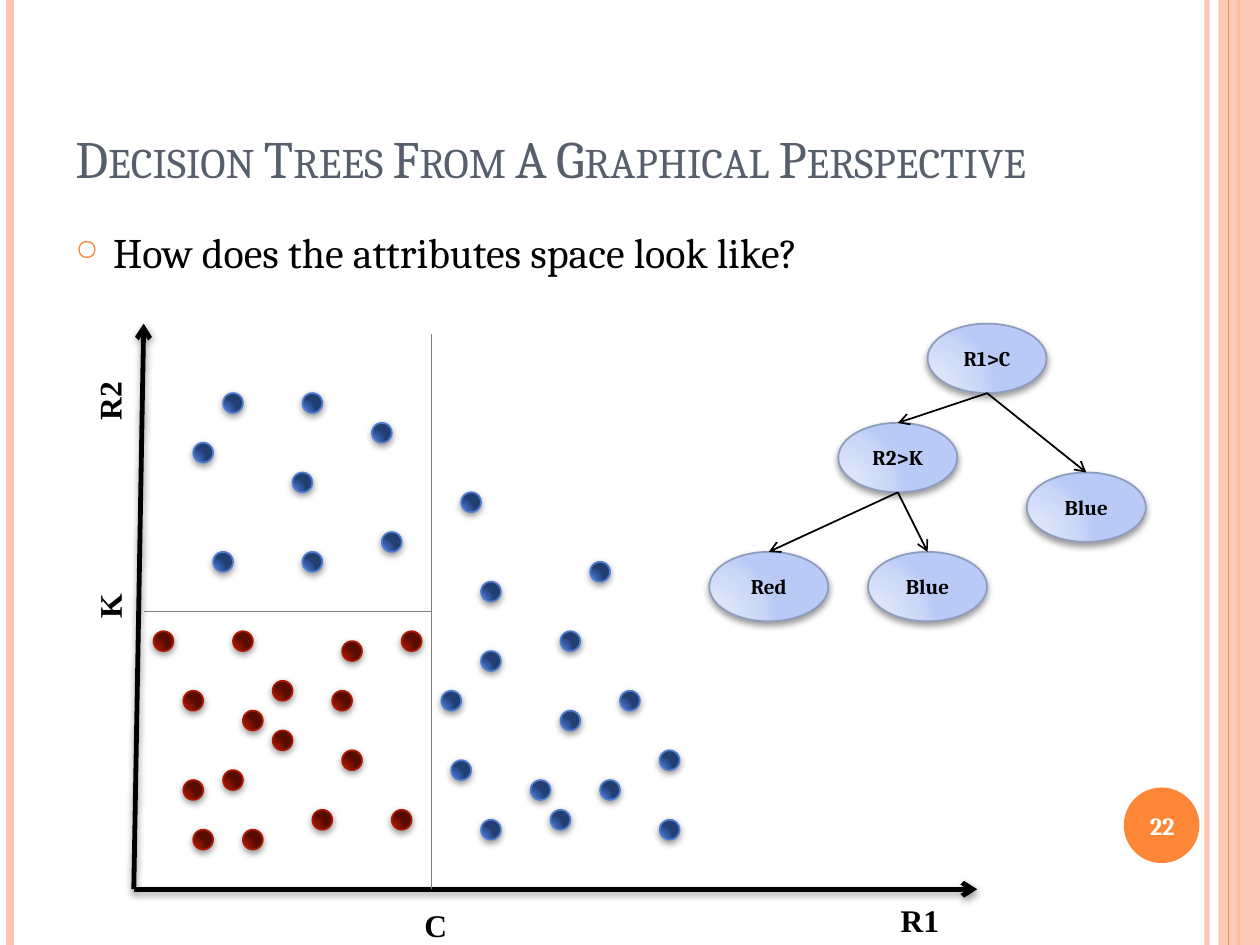
"""Build the slide that shows a decision tree next to its attribute space."""
from dataclasses import dataclass
from typing import Optional

from lxml import etree
from pptx import Presentation
from pptx import util as u
from pptx.dml.color import RGBColor
from pptx.enum import shapes, text
from pptx.oxml import ns


@dataclass(frozen=True)
class Theme:
    serif: str = "Cambria"
    label: str = "Times New Roman"
    title_size: float = 30
    body_size: float = 24
    label_size: float = 18
    number_size: float = 14
    node_size: float = 12
    black: str = "000000"
    white: str = "FFFFFF"
    slate: str = "575F6D"
    orange: str = "FE8637"
    peach: str = "FEC3AE"
    gray: str = "808080"


@dataclass(frozen=True)
class Finish:
    stops: tuple[str, str, str, str]
    line: str
    shadow_alpha: int
    shadow_distance: float


@dataclass(frozen=True)
class Style:
    size: float
    color: str
    font: str = "Cambria"
    bold: bool = False
    align: text.PP_ALIGN = text.PP_ALIGN.LEFT
    anchor: text.MSO_ANCHOR = text.MSO_ANCHOR.TOP


@dataclass(frozen=True)
class Node:
    name: str
    col: int
    row: int
    parent: Optional[int] = None


@dataclass(frozen=True)
class Label:
    name: str
    box: tuple[float, float, float, float]
    rotation: float = 0
    wrap: bool = True


T = Theme()
STEP, LEFT, TOP = 5.67, 87.8, 224.65
DOT, NODE_W, NODE_H = 2, 12, 7
BLUE = Finish(("4574CC", "4370C5", "2F5397", "233E70"), "4F7CCF", 42, 1.6)
RED = Finish(("A41700", "9F1600", "771100", "580C00"), "AC1800", 42, 1.6)
PALE = Finish(("DEE6FA", "DBE4F9", "CAD7F7", "B8CAF5"), "8D9CBF", 40, 2)
BLUE_DOTS = [
    (7, 0), (4, 5), (15, 0), (6, 16), (15, 16), (22, 3), (23, 14), (14, 8),
    (40, 42), (45, 39), (51, 43), (51, 36), (47, 30), (41, 32), (38, 39), (33, 43),
    (44, 17), (29, 30), (30, 37), (41, 24), (33, 19), (31, 10), (33, 26)]
RED_DOTS = [
    (12, 34), (16, 42), (8, 24), (7, 38), (9, 44), (4, 44), (3, 39), (24, 42),
    (19, 36), (12, 29), (18, 30), (9, 32), (0, 24), (25, 24), (19, 25), (3, 30)]
TREE = [Node("R1>C", 78, -7), Node("R2>K", 69, 3, 0), Node("Blue", 88, 8, 0),
        Node("Red", 56, 16, 1), Node("Blue", 72, 16, 1)]
LABELS = [Label("R1", (507.6, 511.2, 39.6, 28.8)),
          Label("R2", (42.5, 213.1, 39.6, 28.8), 270),
          Label("C", (235.4, 514.1, 28.1, 28.8)),
          Label("K", (48.2, 331.9, 28.8, 28.8), 270, False)]


def grid(col: float, row: float) -> tuple[float, float]:
    """Return the point, in points, of a grid position."""
    return LEFT + col * STEP, TOP + row * STEP


def add_xml(parent, tag: str, **attrs):
    """Append a DrawingML element."""
    return etree.SubElement(parent, ns.qn(tag), {k: str(v) for k, v in attrs.items()})


def set_alpha(fill_parent, percent: int) -> None:
    """Make the solid colour below an element partly transparent."""
    color = next(fill_parent.iter(ns.qn("a:srgbClr")))
    add_xml(color, "a:alpha", val=percent * 1000)


def add_shadow(effects, alpha: int, distance: float) -> None:
    """Add a soft shadow that falls straight down."""
    shadow = add_xml(effects, "a:outerShdw", blurRad=u.Pt(4), dist=u.Pt(distance),
                     dir=5400000, rotWithShape=0)
    add_xml(add_xml(shadow, "a:srgbClr", val=T.black), "a:alpha", val=alpha * 1000)


def add_line(s, start, end, color: str, width: float, arrow=False, shadow=False):
    """Draw a straight line, with an arrowhead at its end if asked."""
    c = s.shapes.add_connector(shapes.MSO_CONNECTOR.STRAIGHT,
                               *(u.Pt(v) for v in (*start, *end)))
    c.line.color.rgb = RGBColor.from_string(color)
    c.line.width = u.Pt(width)
    if arrow:
        add_xml(c.line._get_or_add_ln(), "a:tailEnd", type="arrow")
    effects = add_xml(c._element.spPr, "a:effectLst")
    if shadow:
        add_shadow(effects, 42, 1.6)
    return c


def add_flat(s, kind: shapes.MSO_SHAPE, box, color: str):
    """Draw a plain filled shape without outline."""
    sp = s.shapes.add_shape(kind, *(u.Pt(v) for v in box))
    sp.shadow.inherit = False
    sp.fill.solid()
    sp.fill.fore_color.rgb = RGBColor.from_string(color)
    sp.line.fill.background()
    return sp


def add_ellipse(s, col: int, row: int, cols: int, rows: int, finish: Finish):
    """Draw a shaded ellipse on the grid."""
    box = (*grid(col, row), cols * STEP, rows * STEP)
    sp = s.shapes.add_shape(shapes.MSO_SHAPE.OVAL, *(u.Pt(v) for v in box))
    sp.line.color.rgb = RGBColor.from_string(finish.line)
    sp.line.width = u.Pt(1)
    sp.shadow.inherit = False
    sp_pr = sp._element.spPr
    add_shadow(sp_pr.find(ns.qn("a:effectLst")), finish.shadow_alpha, finish.shadow_distance)
    grad = etree.Element(ns.qn("a:gradFill"), rotWithShape="1")
    stops = add_xml(grad, "a:gsLst")
    for pos, color in zip((0, 30, 75, 100), finish.stops):
        add_xml(add_xml(stops, "a:gs", pos=pos * 1000), "a:srgbClr", val=color)
    radial = add_xml(grad, "a:path", path="circle")
    add_xml(radial, "a:fillToRect", l=5000, t=100000, r=120000, b=10000)
    sp_pr.find(ns.qn("a:prstGeom")).addnext(grad)
    return sp


def write(tf, words: str, style: Style):
    """Put one styled paragraph into a text frame."""
    tf.vertical_anchor = style.anchor
    p = tf.paragraphs[0]
    p.alignment = style.align
    p.font.name, p.font.size, p.font.bold = style.font, u.Pt(style.size), style.bold
    p.font.color.rgb = RGBColor.from_string(style.color)
    p.add_run().text = words
    return p


def add_text(s, box, words: str, style: Style, rotation: float = 0, wrap: bool = True):
    """Add a text box and return its paragraph."""
    sp = s.shapes.add_textbox(*(u.Pt(v) for v in box))
    sp.rotation = rotation
    sp.text_frame.word_wrap = wrap
    return write(sp.text_frame, words, style)


def add_bullet(p) -> None:
    """Give a paragraph a hanging ring bullet."""
    p.space_before = u.Pt(6)
    p_pr = p._p.get_or_add_pPr()
    p_pr.set("marL", str(u.Pt(21.6)))
    p_pr.set("indent", str(u.Pt(-21.6)))
    color = etree.Element(ns.qn("a:buClr"))
    add_xml(color, "a:srgbClr", val=T.orange)
    size = etree.Element(ns.qn("a:buSzPct"), val="70000")
    char = etree.Element(ns.qn("a:buChar"), char="○")
    for item in (color, size, char):
        p_pr.find(ns.qn("a:defRPr")).addprevious(item)


def add_frame(s) -> None:
    """Draw the side stripes and the number badge."""
    stripe = add_line(s, (689.8, 0), (689.8, 540), T.peach, 3)
    set_alpha(stripe._element.spPr, 93)
    add_line(s, (5.8, 0), (5.8, 540), T.peach, 4.5)
    add_line(s, (707.8, 0), (707.8, 540), T.orange, 1.5)
    band = add_flat(s, shapes.MSO_SHAPE.RECTANGLE, (696.2, 0, 23.8, 540), T.peach)
    set_alpha(band._element.spPr, 87)
    add_line(s, (702, 0), (702, 540), T.orange, 0.75)
    add_flat(s, shapes.MSO_SHAPE.OVAL, (642.2, 450, 43.2, 43.2), T.orange)


def add_space(s) -> None:
    """Draw the axes, the two splits and the dots."""
    for end in ((-1, -7), (83, 50)):
        add_line(s, grid(-2, 50), grid(*end), T.black, 2.75, arrow=True, shadow=True)
    for start, end in (((-1, 22), (28, 22)), ((28, 50), (28, -6))):
        add_line(s, grid(*start), grid(*end), T.gray, 0.5)
    for finish, dots in ((BLUE, BLUE_DOTS), (RED, RED_DOTS)):
        for col, row in dots:
            add_ellipse(s, col, row, DOT, DOT, finish)
    for label in LABELS:
        add_text(s, label.box, label.name, Style(T.label_size, T.black, T.label, True),
                 label.rotation, label.wrap)


def add_tree(s) -> None:
    """Draw the nodes and the arrows from each parent to its children."""
    style = Style(T.node_size, T.black, T.serif, True,
                  text.PP_ALIGN.CENTER, text.MSO_ANCHOR.MIDDLE)
    for node in TREE:
        sp = add_ellipse(s, node.col, node.row, NODE_W, NODE_H, PALE)
        write(sp.text_frame, node.name, style)
    for node in TREE:
        if node.parent is not None:
            parent = TREE[node.parent]
            add_line(s, grid(parent.col + NODE_W / 2, parent.row + NODE_H),
                     grid(node.col + NODE_W / 2, node.row), T.black, 1, arrow=True)


def main() -> None:
    """Build and save the slide."""
    prs = Presentation()
    prs.slide_width, prs.slide_height = u.Pt(720), u.Pt(540)
    s = prs.slides.add_slide(prs.slide_layouts[6])
    add_frame(s)
    title = add_text(s, (36, 21.6, 588.2, 90), "Decision Trees From A Graphical Perspective",
                     Style(T.title_size, T.slate, anchor=text.MSO_ANCHOR.BOTTOM))
    title.runs[0]._r.get_or_add_rPr().set("cap", "small")
    add_bullet(add_text(s, (36, 126, 588.2, 383.8), "How does the attributes space look like?",
                        Style(T.body_size, T.black)))
    add_space(s)
    add_tree(s)
    add_text(s, (640.1, 451.4, 48.2, 41), "22",
             Style(T.number_size, T.white, T.serif, True,
                   text.PP_ALIGN.CENTER, text.MSO_ANCHOR.MIDDLE))
    prs.save("out.pptx")


if __name__ == "__main__":
    main()
